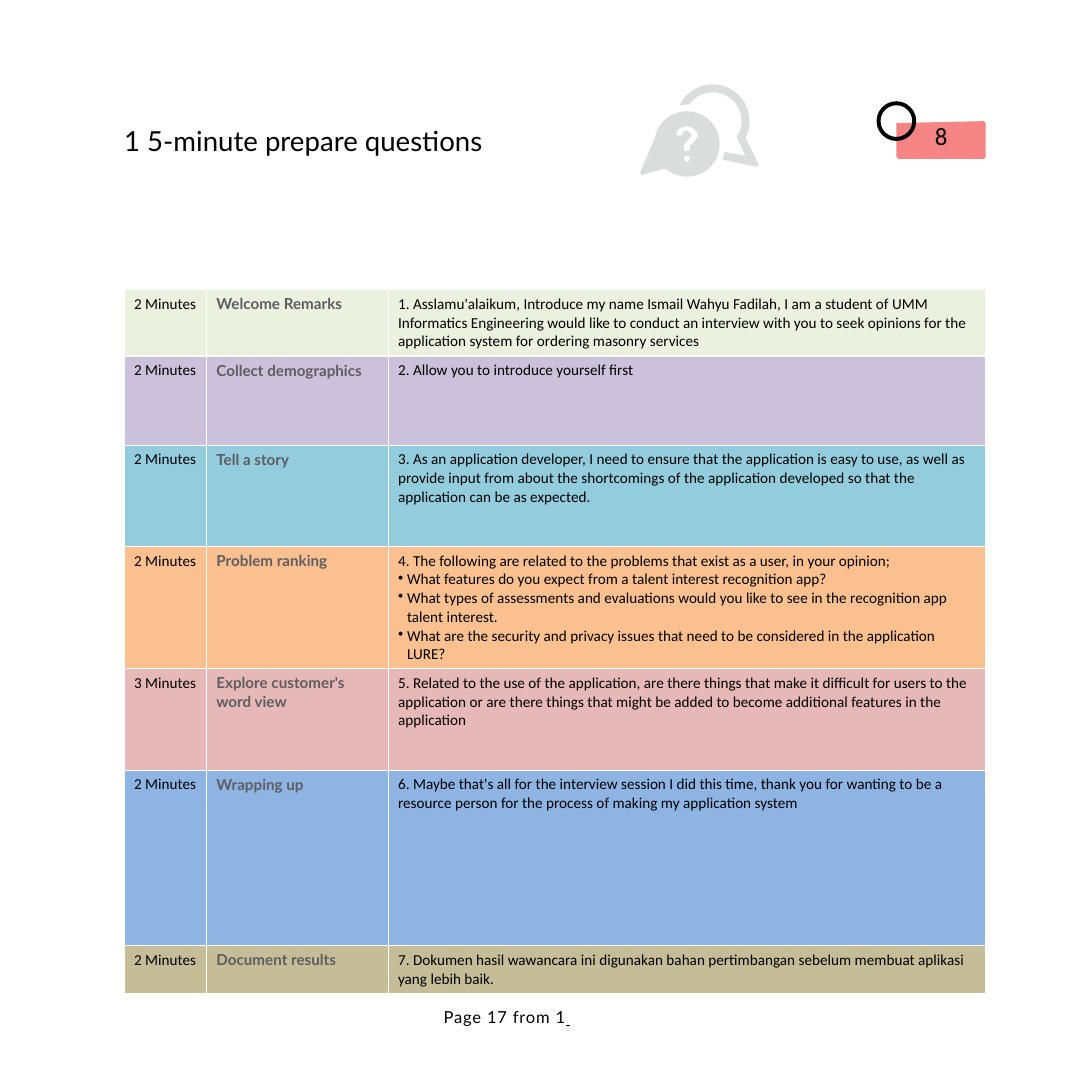
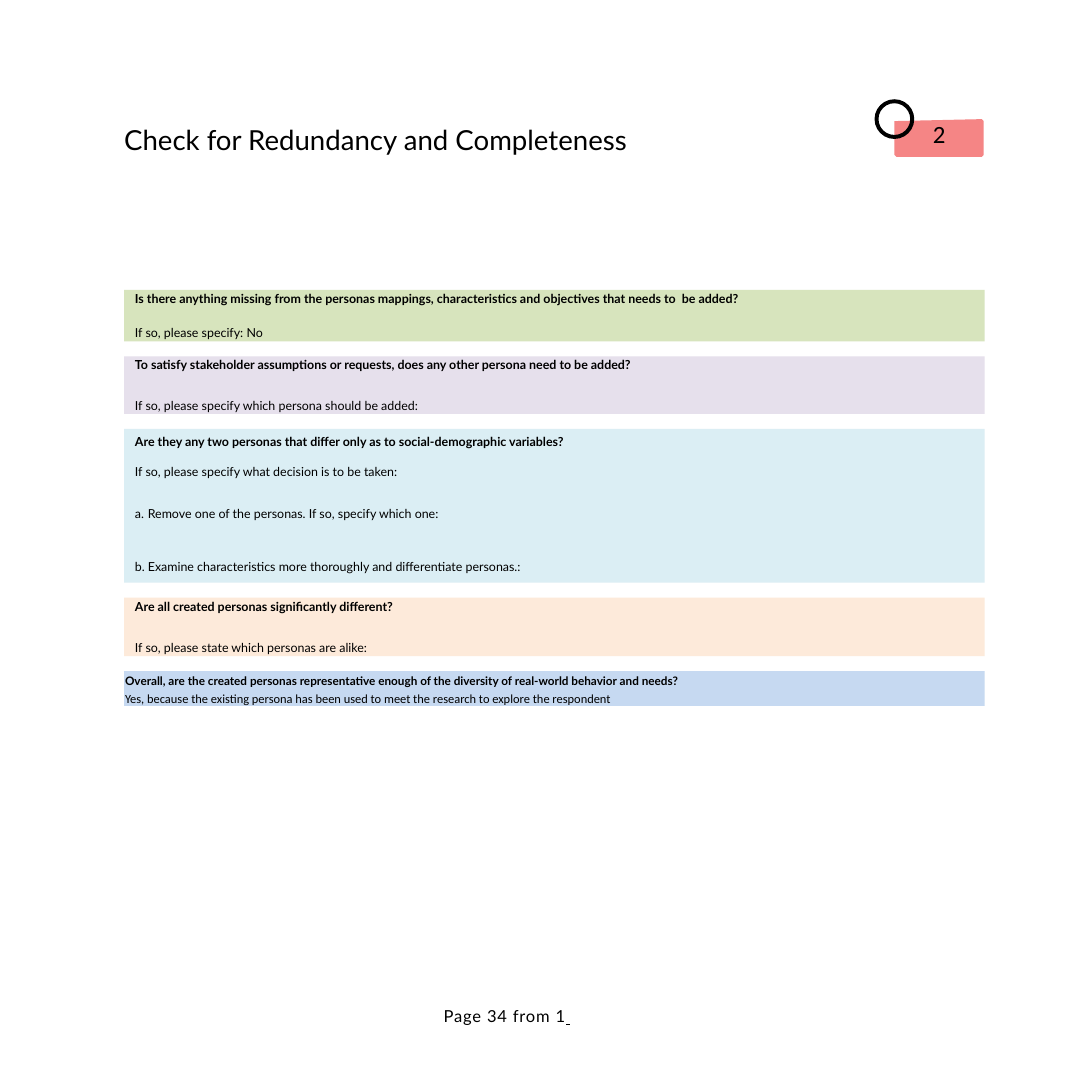
from math import cos, radians, sin

from lxml import etree
from pptx import Presentation
from pptx.dml.color import RGBColor
from pptx.enum.shapes import MSO_SHAPE
from pptx.enum.text import MSO_ANCHOR, MSO_AUTO_SIZE, PP_ALIGN
from pptx.oxml.ns import qn
from pptx.util import Pt

RECT, DONUT = MSO_SHAPE.RECTANGLE, MSO_SHAPE.DONUT
TOP, NO_FIT = MSO_ANCHOR.TOP, MSO_AUTO_SIZE.NONE
LEFT, CENTER = PP_ALIGN.LEFT, PP_ALIGN.CENTER

PX = 9144
PAGE = 1100
MARGIN = 125
CONTENT_TOP = 292
BODY_W = 867
BLOCK_GAP = 15
BLACK, WHITE, LABEL, CORAL, ICON = "000000", "FFFFFF", "5E5D61", "F58585", "DBDDDD"
HEAD_FONT, BODY_FONT = "Lato", "Calibri"

COLUMNS = [83, 183, 602]
AGENDA = [
    ("2 Minutes", "Welcome Remarks", "EBF1DE", 47, [
        "1. Asslamu'alaikum, Introduce my name Ismail Wahyu Fadilah, I am a student of UMM "
        "Informatics Engineering would like to conduct an interview with you to seek opinions "
        "for the application system for ordering masonry services"]),
    ("2 Minutes", "Collect demographics", "CCC1DA", 90, [
        "2. Allow you to introduce yourself first"]),
    ("2 Minutes", "Tell a story", "93CDDD", 102, [
        "3. As an application developer, I need to ensure that the application is easy to use, "
        "as well as provide input from about the shortcomings of the application developed so "
        "that the application can be as expected."]),
    ("2 Minutes", "Problem ranking", "FAC090", 102, [
        "4. The following are related to the problems that exist as a user, in your opinion;",
        "What features do you expect from a talent interest recognition app?",
        "What types of assessments and evaluations would you like to see in the recognition "
        "app talent interest.",
        "What are the security and privacy issues that need to be considered in the "
        "application LURE?"]),
    ("3 Minutes", "Explore customer's word view", "E6B9B8", 102, [
        "5. Related to the use of the application, are there things that make it difficult for "
        "users to the application or are there things that might be added to become additional "
        "features in the application"]),
    ("2 Minutes", "Wrapping up", "8EB4E3", 177, [
        "6. Maybe that's all for the interview session I did this time, thank you for wanting "
        "to be a resource person for the process of making my application system"]),
    ("2 Minutes", "Document results", "C4BD97", 47, [
        "7. Dokumen hasil wawancara ini digunakan bahan pertimbangan sebelum membuat aplikasi "
        "yang lebih baik."]),
]

CHECKS = [
    dict(fill="D7E4BD", height=52,
         question="Is there anything missing from the personas mappings, characteristics and "
                  "objectives that needs to  be added?",
         answers=[("If so, please specify: No", 14)]),
    dict(fill="E6E0EC", height=58,
         question="To satisfy stakeholder assumptions or requests, does any other persona "
                  "need to be added?",
         answers=[("If so, please specify which persona should be added:", 19)]),
    dict(fill="DBEEF4", height=155, inset_top=5,
         question="Are they any two personas that differ only as to social-demographic "
                  "variables?",
         answers=[("If so, please specify what decision is to be taken:", 11)],
         options=[("Remove one of the personas. If so, specify which one:", 20),
                  ("Examine characteristics more thoroughly and differentiate personas.:", 27.5)]),
    dict(fill="FDEADA", height=59,
         question="Are all created personas significantly different?",
         answers=[("If so, please state which personas are alike:", 19)]),
    dict(fill="C6D9F1", height=35, inset_left=1, size=8.5, spacing=1.12, answer_font=BODY_FONT,
         question="Overall, are the created personas representative enough of the diversity of "
                  "real-world behavior and needs?",
         answers=[("Yes, because the existing persona has been used to meet the research to "
                   "explore the respondent", 0.9)]),
]

QUESTION_MARK = [
    (703, 136), (703, 138), (701, 140), (700, 142), (697, 145), (695, 146), (695, 150),
    (694, 152), (689, 152), (689, 146), (692, 142), (694, 140), (697, 136), (696, 135),
    (693, 132), (690, 132), (688, 134), (686, 137), (681, 136), (682, 132), (685, 129),
    (688, 128), (692, 127), (698, 129), (702, 133)]
FRONT_TAIL = [(647, 176), (646, 176), (645, 174), (645, 173), (652, 157)]
BACK_TAIL = [(764, 165), (764, 167), (762, 168), (728, 161), (730, 153), (751, 157)]


def rgb(value):
    return RGBColor.from_string(value)


def box(*lengths):
    return [length * PX for length in lengths]


def arc(cx, cy, radius, start, end, steps=30):
    angles = [radians(start + (end - start) * i / steps) for i in range(steps + 1)]
    return [(cx + radius * cos(a), cy + radius * sin(a)) for a in angles]


def paint(shape, fill):
    shape.shadow.inherit = False
    shape.fill.solid()
    shape.fill.fore_color.rgb = rgb(fill)
    shape.line.fill.background()
    return shape


def outline(slide, contours, fill):
    contours = [[(x * PX, y * PX) for x, y in points] for points in contours]
    builder = slide.shapes.build_freeform(*contours[0][0])
    for number, points in enumerate(contours):
        if number:
            builder.move_to(*points[0])
        builder.add_line_segments(points[1:], close=True)
    return paint(builder.convert_to_shape(), fill)


def frame(shape, left=0, top=0):
    text = shape.text_frame
    text.word_wrap = True
    text.auto_size = NO_FIT
    text.vertical_anchor = TOP
    text.margin_left, text.margin_top = box(left, top)
    text.margin_right = text.margin_bottom = 0
    return text


def write(paragraph, text, size, font, color=BLACK, bold=False, align=LEFT):
    paragraph.text = text
    paragraph.alignment = align
    for run in paragraph.runs:
        run.font.size, run.font.name, run.font.bold = Pt(size), font, bold
        run.font.color.rgb = rgb(color)


def hang(paragraph, indent, tag, **attributes):
    properties = paragraph._p.get_or_add_pPr()
    properties.set("marL", str(indent * PX))
    properties.set("indent", str(-indent * PX))
    etree.SubElement(properties, qn(tag), attributes)


def border(cell, color):
    properties = cell._tc.get_or_add_tcPr()
    for side in ("a:lnL", "a:lnR", "a:lnT", "a:lnB"):
        line = etree.SubElement(properties, qn(side), w=str(Pt(1)))
        fill = etree.SubElement(line, qn("a:solidFill"))
        etree.SubElement(fill, qn("a:srgbClr"), val=color)


def add_page(deck, title, title_top, number, badge_left, badge_top, page, footer_top):
    slide = deck.slides.add_slide(deck.slide_layouts[5])
    heading = slide.shapes.title
    heading.left, heading.top, heading.width, heading.height = box(MARGIN, title_top, 570, 35)
    write(frame(heading, top=1).paragraphs[0], title, 20, HEAD_FONT)

    right, bottom = badge_left + 90, badge_top + 38
    badge = outline(slide, [[(badge_left, badge_top + 2), (right - 2, badge_top),
                             (right, badge_top + 2), (right, bottom - 2), (right - 2, bottom),
                             (badge_left + 2, bottom), (badge_left, bottom - 2)]], CORAL)
    write(frame(badge).paragraphs[0], number, 18, BODY_FONT, align=CENTER)
    ring = slide.shapes.add_shape(DONUT, *box(badge_left - 20, badge_top - 20, 40, 40))
    ring.adjustments[0] = 0.1
    paint(ring, BLACK)

    footer = slide.shapes.add_textbox(*box(446, footer_top, 141, 20))
    line = frame(footer, left=1).paragraphs[0]
    write(line, f"Page {page} from 1", 12, HEAD_FONT)
    line.line_spacing = Pt(14.1)
    line.runs[0].font._element.set("spc", "60")
    rule = line.add_run()
    rule.text = " "
    rule.font.size, rule.font.name, rule.font.underline = Pt(12), "Times New Roman", True
    rule.font.color.rgb = rgb(BLACK)
    return slide


def add_bubbles(slide):
    front = arc(692, 145, 33, 190, 491) + FRONT_TAIL
    back = arc(718, 122, 37, 206, 387) + BACK_TAIL + arc(718, 122, 29, 394, 215)
    outline(slide, [front, QUESTION_MARK, arc(692, 160, 3, 0, 348), back], ICON)


def add_agenda(slide):
    heights = [row[3] for row in AGENDA]
    table = slide.shapes.add_table(len(AGENDA), len(COLUMNS), *box(
        MARGIN, CONTENT_TOP, sum(COLUMNS), sum(heights))).table
    table.first_row = table.horz_banding = False
    for column, width in zip(table.columns, COLUMNS):
        column.width = width * PX
    for row, (minutes, label, fill, height, script) in zip(table.rows, AGENDA):
        row.height = height * PX
        for cell in row.cells:
            border(cell, WHITE)
            cell.fill.solid()
            cell.fill.fore_color.rgb = rgb(fill)
        time_cell, label_cell, script_cell = row.cells
        write(time_cell.text_frame.paragraphs[0], minutes, 11, BODY_FONT)
        write(label_cell.text_frame.paragraphs[0], label, 11, HEAD_FONT, LABEL, True)
        text = script_cell.text_frame
        write(text.paragraphs[0], script[0], 11, BODY_FONT)
        for point in script[1:]:
            paragraph = text.add_paragraph()
            hang(paragraph, 9, "a:buChar", char="•")
            write(paragraph, point, 11, BODY_FONT)


def add_checks(slide):
    top = CONTENT_TOP
    for check in CHECKS:
        block = slide.shapes.add_shape(RECT, *box(MARGIN, top, BODY_W, check["height"]))
        paint(block, check["fill"])
        text = frame(block, check.get("inset_left", 11), check.get("inset_top", 1))
        write(text.paragraphs[0], check["question"], check.get("size", 9), HEAD_FONT, bold=True)
        options = check.get("options", [])
        for answer, gap in check["answers"] + options:
            paragraph = text.add_paragraph()
            if (answer, gap) in options:
                hang(paragraph, 13, "a:buAutoNum", type="alphaLcPeriod")
            write(paragraph, answer, 9, check.get("answer_font", HEAD_FONT))
            paragraph.space_before = Pt(gap)
        for paragraph in text.paragraphs:
            paragraph.line_spacing = check.get("spacing", 1.0)
        top += check["height"] + BLOCK_GAP


def main():
    deck = Presentation()
    deck.slide_width = deck.slide_height = PAGE * PX
    interview = add_page(deck, "1 5-minute prepare questions", 124, "8", 903, 122, 17, 1015)
    add_bubbles(interview)
    add_agenda(interview)
    review = add_page(deck, "Check for Redundancy and Completeness", 123, "2", 901, 120, 34, 1014)
    add_checks(review)
    deck.save("out.pptx")


if __name__ == "__main__":
    main()
